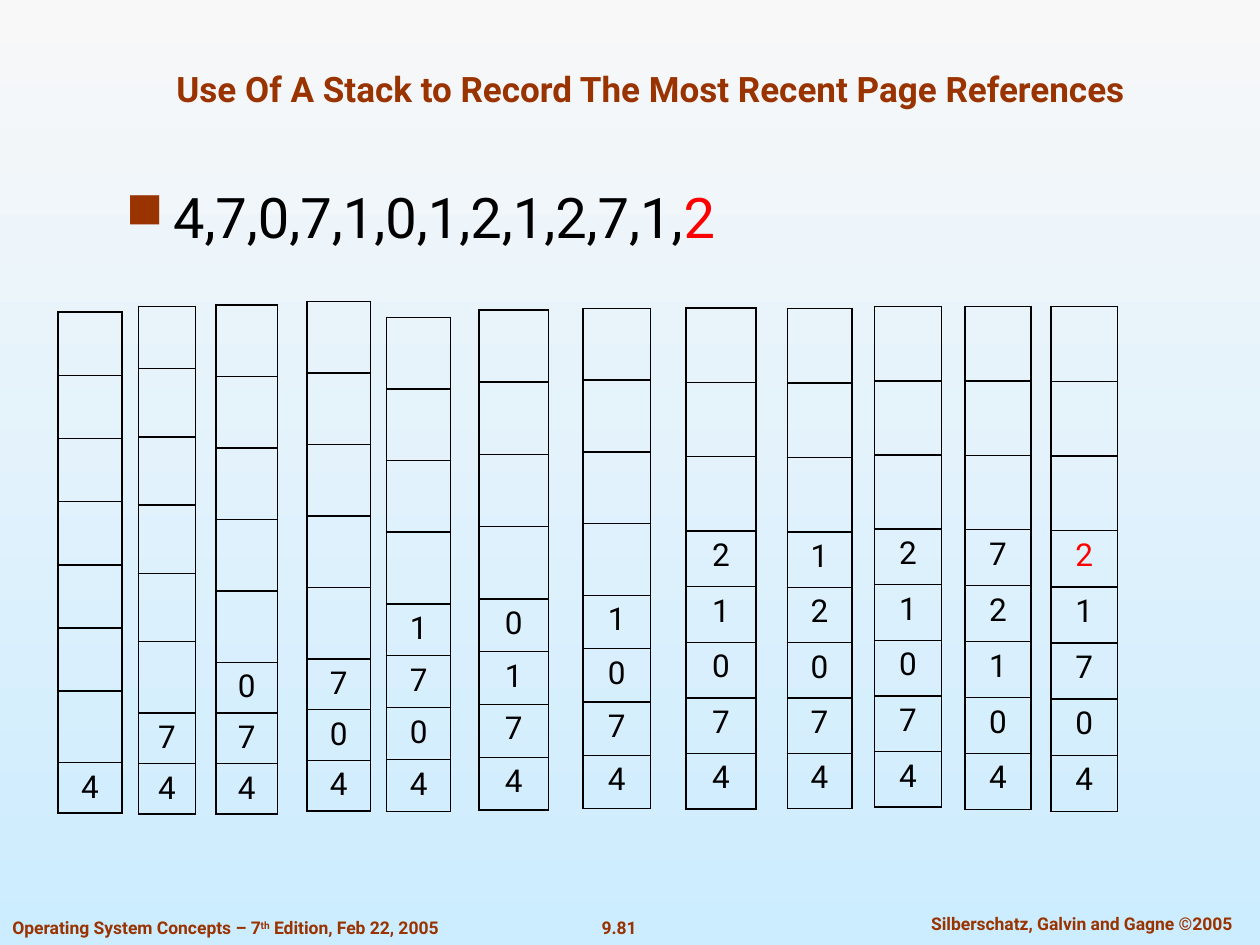
from lxml import etree
from pptx import Presentation
from pptx.dml.color import RGBColor
from pptx.enum import text
from pptx.oxml.ns import qn
from pptx.util import Pt

RUST, BLACK, RED = "993300", "000000", "FF0000"


def color(code):
    return RGBColor.from_string(code)


def label(left, top, width, height, parts, size, ink, align, bold=True, wrap=True):
    frame = slide.shapes.add_textbox(Pt(left), Pt(top), Pt(width), Pt(height)).text_frame
    frame.word_wrap = wrap
    line = frame.paragraphs[0]
    line.alignment = align
    for part in parts:
        line.add_run().text = part
    if not bold:
        props = line._p.get_or_add_pPr()
        props.set("marL", str(Pt(27)))
        props.set("indent", str(-Pt(27)))
        tint = etree.SubElement(props, qn("a:buClr"))
        etree.SubElement(tint, qn("a:srgbClr"), val=RUST)
        etree.SubElement(props, qn("a:buSzPct"), val="90000")
        etree.SubElement(props, qn("a:buChar"), char="■")
    font = line.font
    font.name, font.size, font.bold = "Roboto", Pt(size), bold
    font.color.rgb = color(ink)
    return frame


deck = Presentation()
deck.slide_width, deck.slide_height = Pt(720), Pt(540)
slide = deck.slides.add_slide(deck.slide_layouts[6])

back = slide.background.fill
back.gradient()
back.gradient_angle = 270
for stop, (place, code) in zip(back.gradient_stops, [(0, "F8F8F8"), (1, "CCECFF")]):
    stop.position = place
    stop.color.rgb = color(code)

left, mid = text.PP_ALIGN.LEFT, text.PP_ALIGN.CENTER
label(336.2, 520.6, 35.3, 19.4, ["9.81"], 10, RUST, mid, wrap=False)
label(511.2, 518.4, 213.8, 19.4, ["Silberschatz, Galvin and Gagne ©2005"], 10, RUST, mid)
foot = label(0, 520.6, 272, 19.4, ["Operating System Concepts – 7", "th", " Edition, Feb 22, 2005"],
             10, RUST, left, wrap=False)
foot.paragraphs[0].runs[1]._r.get_or_add_rPr().set("baseline", "30000")

title = label(54, 18, 635.8, 48.2, ["Use Of A Stack to Record The Most Recent Page References"],
              20, RUST, mid)
title.vertical_anchor = text.MSO_ANCHOR.BOTTOM
body = label(64.8, 100.8, 578.9, 52.6, ["4,7,0,7,1,0,1,2,1,2,7,1,", "2"], 32, BLACK, left, bold=False)
body.paragraphs[0].runs[1].font.color.rgb = color(RED)

stacks = [
    (33.1, 178.4, 36.7, [36.1] * 6 + [40.9], 28.9, "4"),
    (79.2, 175, 32.4, [35.7] + [39] * 4 + [40.9], 28.9, "74"),
    (123.4, 174.2, 35.3, [40.9] * 5, 28.9, "074"),
    (175.4, 172.3, 36.3, [40.9] * 5, 28.9, "704"),
    (221, 181.5, 36.5, [40.9] * 4, 29.7, "1704"),
    (273.6, 177.1, 39.8, [41.3] * 4, 30.2, "0174"),
    (333, 176.3, 38.7, [41] * 4, 30.5, "1074"),
    (391.9, 176, 40.2, [42.5] * 3, 31.8, "21074"),
    (449.9, 176.4, 36.9, [42.6] * 3, 31.6, "12074"),
    (499.8, 175.2, 38.2, [42.4] * 3, 31.8, "21074"),
    (551.3, 175.2, 37.9, [42.5] * 3, 32, "72104"),
    (600.6, 175.2, 38, [42.7] * 3, 32.1, "21704"),
]

for x, y, width, spare, step, pages in stacks:
    rows = spare + [step] * len(pages)
    grid = slide.shapes.add_table(len(rows), 1, Pt(x), Pt(y), Pt(width), Pt(sum(rows))).table
    grid.first_row = grid.horz_banding = False
    grid.columns[0].width = Pt(width)
    for row, (height, page) in enumerate(zip(rows, [""] * len(spare) + list(pages))):
        grid.rows[row].height = Pt(height)
        cell = grid.cell(row, 0)
        props = cell._tc.get_or_add_tcPr()
        for side in "LRTB":
            edge = etree.SubElement(props, qn("a:ln" + side), w=str(Pt(1)))
            paint = etree.SubElement(edge, qn("a:solidFill"))
            etree.SubElement(paint, qn("a:srgbClr"), val=BLACK)
        cell.fill.background()
        if page:
            cell.text = page
            line = cell.text_frame.paragraphs[0]
            line.alignment = mid
            line.font.name, line.font.size = "Roboto", Pt(18)
            last = x == stacks[-1][0] and row == len(spare)
            line.font.color.rgb = color(RED if last else BLACK)

deck.save("out.pptx")
